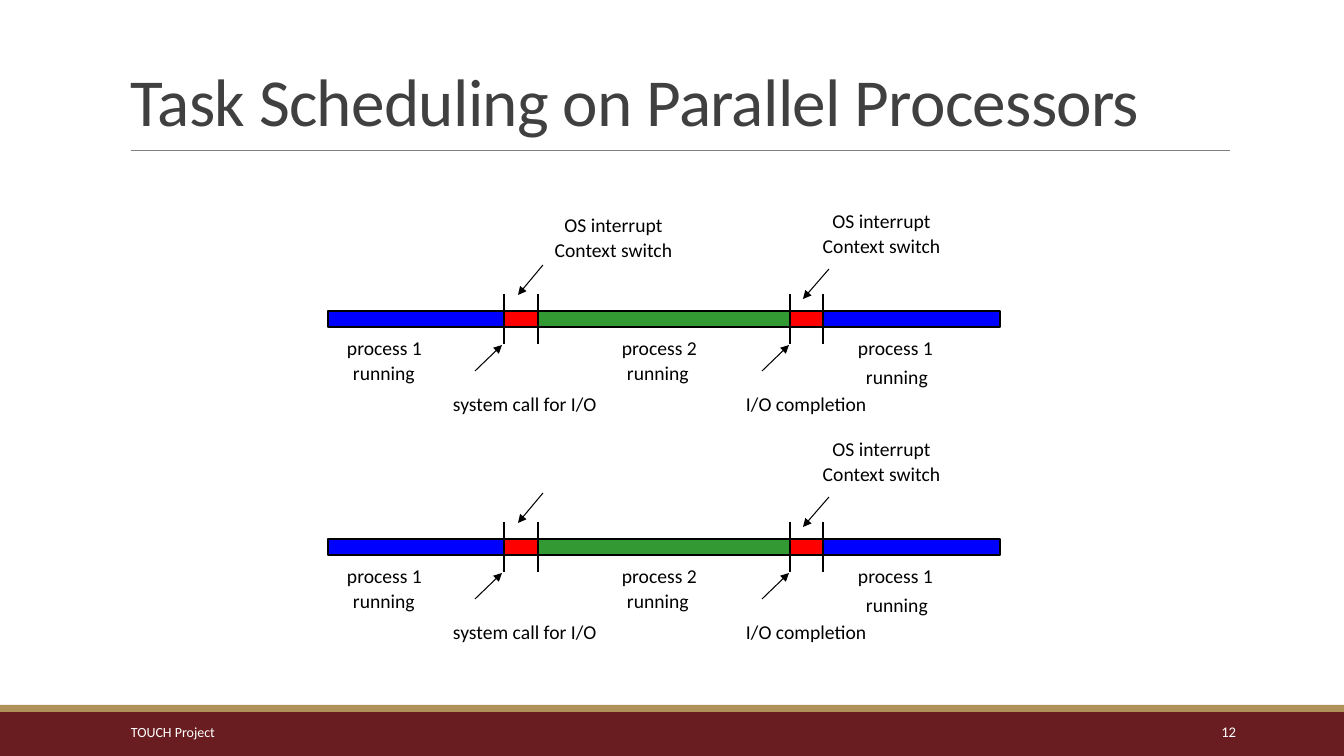
from lxml.etree import SubElement
from pptx import Presentation
from pptx.dml.color import RGBColor
from pptx.enum.shapes import MSO_CONNECTOR, MSO_SHAPE
from pptx.enum.text import MSO_ANCHOR, PP_ALIGN
from pptx.oxml.ns import qn
from pptx.util import Emu, Pt

SCALE = 914400 / 100.8  # EMU in one px
FONT = "Calibri"
BLACK = RGBColor(0x00, 0x00, 0x00)
WHITE = RGBColor(0xFF, 0xFF, 0xFF)
DARK = RGBColor(0x40, 0x40, 0x40)
GREY = RGBColor(0x80, 0x80, 0x80)
MAROON = RGBColor(0x69, 0x1D, 0x20)
GOLD = RGBColor(0xB1, 0x91, 0x5A)
BLUE = RGBColor(0x00, 0x00, 0xFF)
RED = RGBColor(0xFF, 0x00, 0x00)
GREEN = RGBColor(0x33, 0x99, 0x33)

EDGES = [328, 504, 538, 790, 823, 1000]  # bounds of the time slices
FILLS = [BLUE, RED, GREEN, RED, BLUE]
ARROWS = [(543, 265, 518, 295), (475, 371, 502, 345),
          (829, 269, 803, 299), (762, 371, 789, 345)]
LABELS = [("process 1", 347, 336, 85), ("running", 353, 361, 72),
          ("process 2", 622, 336, 85), ("running", 627, 361, 72),
          ("process 1", 858, 336, 86), ("system call for I/O", 453, 392, 170)]
PITCH = 228  # from one timeline to the next


def px(num):
    return Emu(round(num * SCALE))


def add_bar(slide, box, fill, edge=None):
    bar = slide.shapes.add_shape(MSO_SHAPE.RECTANGLE, *map(px, box))
    bar.shadow.inherit = False
    bar.fill.solid()
    bar.fill.fore_color.rgb = fill
    if edge is None:
        bar.line.fill.background()
    else:
        bar.line.color.rgb = edge
        bar.line.width = Pt(1)


def add_line(slide, ends, color=BLACK, width=1.0, arrow=False):
    line = slide.shapes.add_connector(MSO_CONNECTOR.STRAIGHT, *map(px, ends))
    line.line.color.rgb = color
    line.line.width = Pt(width)
    if arrow:
        SubElement(line.line._get_or_add_ln(), qn("a:tailEnd"), type="triangle")
    SubElement(line._element.spPr, qn("a:effectLst"))


def add_text(slide, text, box, size=14, color=BLACK, align=PP_ALIGN.LEFT,
             anchor=MSO_ANCHOR.TOP, inset=0, lead=None, indent=0, track=0):
    frame = slide.shapes.add_textbox(*map(px, box)).text_frame
    frame.word_wrap = True
    frame.vertical_anchor = anchor
    frame.margin_left = frame.margin_right = px(inset)
    frame.margin_top = frame.margin_bottom = px(inset / 2)
    frame.text = text
    for para in frame.paragraphs:
        para.alignment = align
        if lead:
            para.line_spacing = lead
        if indent:
            para._p.get_or_add_pPr().set("indent", str(px(indent)))
        for run in para.runs:
            run.font.name = FONT
            run.font.size = Pt(size)
            run.font.color.rgb = color
            if track:
                run._r.get_or_add_rPr().set("spc", str(track))


def add_switch(slide, left, top):
    add_text(slide, "OS interrupt\nContext switch", (left, top, 185, 50),
             align=PP_ALIGN.CENTER, lead=Pt(18))


def add_track(slide, drop):
    # Slices and the ticks between them
    for left, right, fill in zip(EDGES, EDGES[1:], FILLS):
        add_bar(slide, (left, 311 + drop, right - left, 16), fill, BLACK)
    for edge in EDGES[1:-1]:
        add_line(slide, (edge, 294 + drop, edge, 344 + drop))

    # Arrows and labels
    for x1, y1, x2, y2 in ARROWS:
        add_line(slide, (x1, y1 + drop, x2, y2 + drop), width=0.75, arrow=True)
    for text, left, top, width in LABELS:
        add_text(slide, text, (left, top + drop, width, 24))
    add_text(slide, "running I/O completion", (746, 361 + drop, 191, 53),
             lead=1.15, indent=120)
    add_switch(slide, 789, 207 + drop)


def main():
    deck = Presentation()
    deck.slide_width, deck.slide_height = px(1344), px(756)
    slide = deck.slides.add_slide(deck.slide_layouts[6])

    # Title
    add_text(slide, "Task Scheduling on Parallel Processors",
             (121, 31, 1109, 114), size=48, color=DARK,
             anchor=MSO_ANCHOR.BOTTOM, inset=10, lead=0.85, track=-50)
    add_line(slide, (131, 150, 1230, 150), GREY, 0.5)

    # Timelines
    for row in range(2):
        add_track(slide, row * PITCH)
    add_switch(slide, 521, 211)

    # Footer
    add_bar(slide, (0, 712, 1344, 44), MAROON)
    add_bar(slide, (0, 705, 1344, 7), GOLD)
    add_text(slide, "TOUCH Project", (121, 712, 272, 40), size=10,
             color=WHITE, anchor=MSO_ANCHOR.MIDDLE, inset=10)
    add_text(slide, "12", (1092, 712, 144, 40), size=10.5, color=WHITE,
             align=PP_ALIGN.RIGHT, anchor=MSO_ANCHOR.MIDDLE)

    deck.save("out.pptx")


if __name__ == "__main__":
    main()
